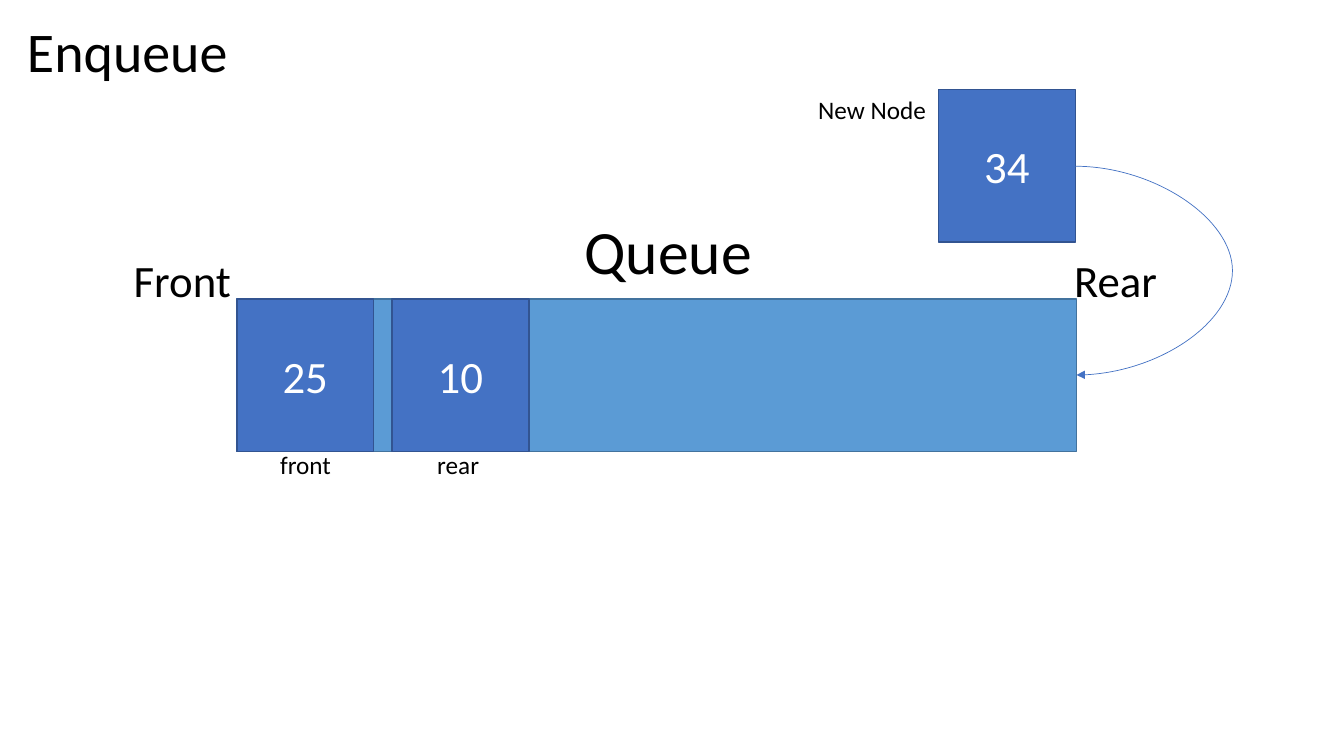
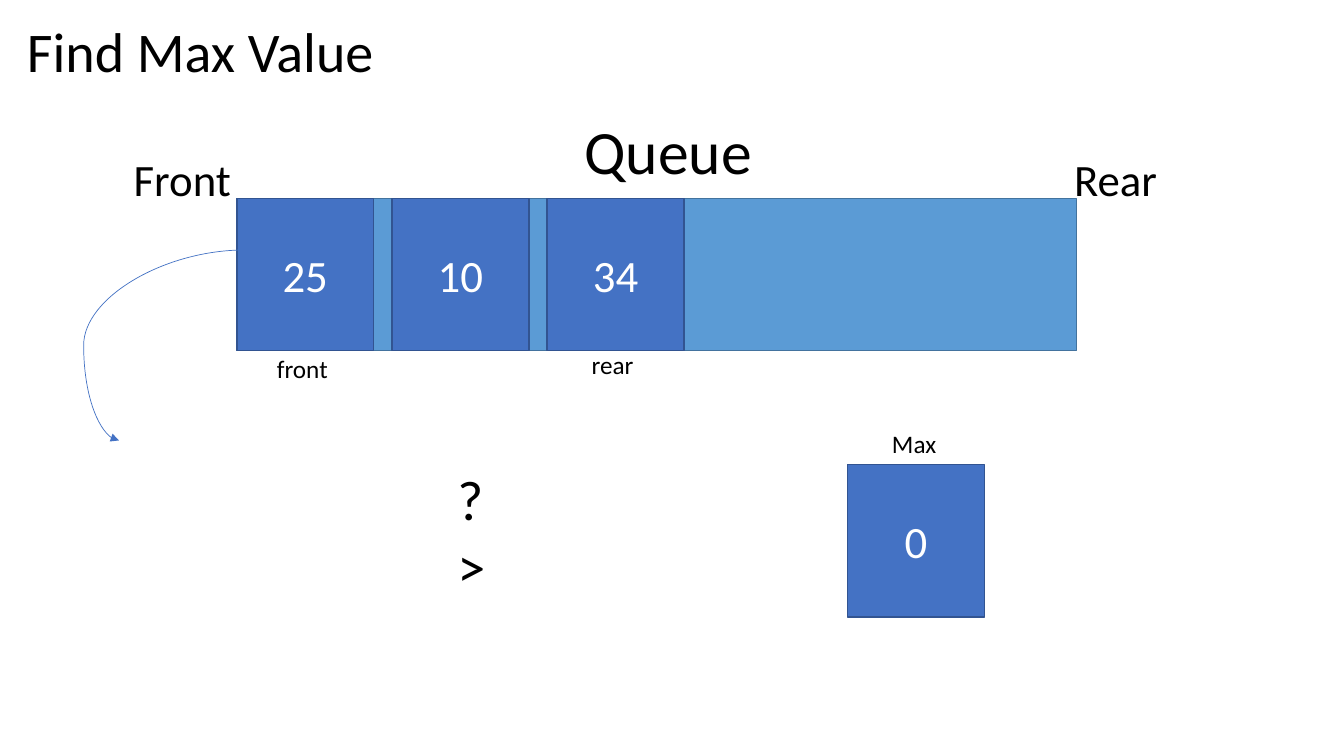
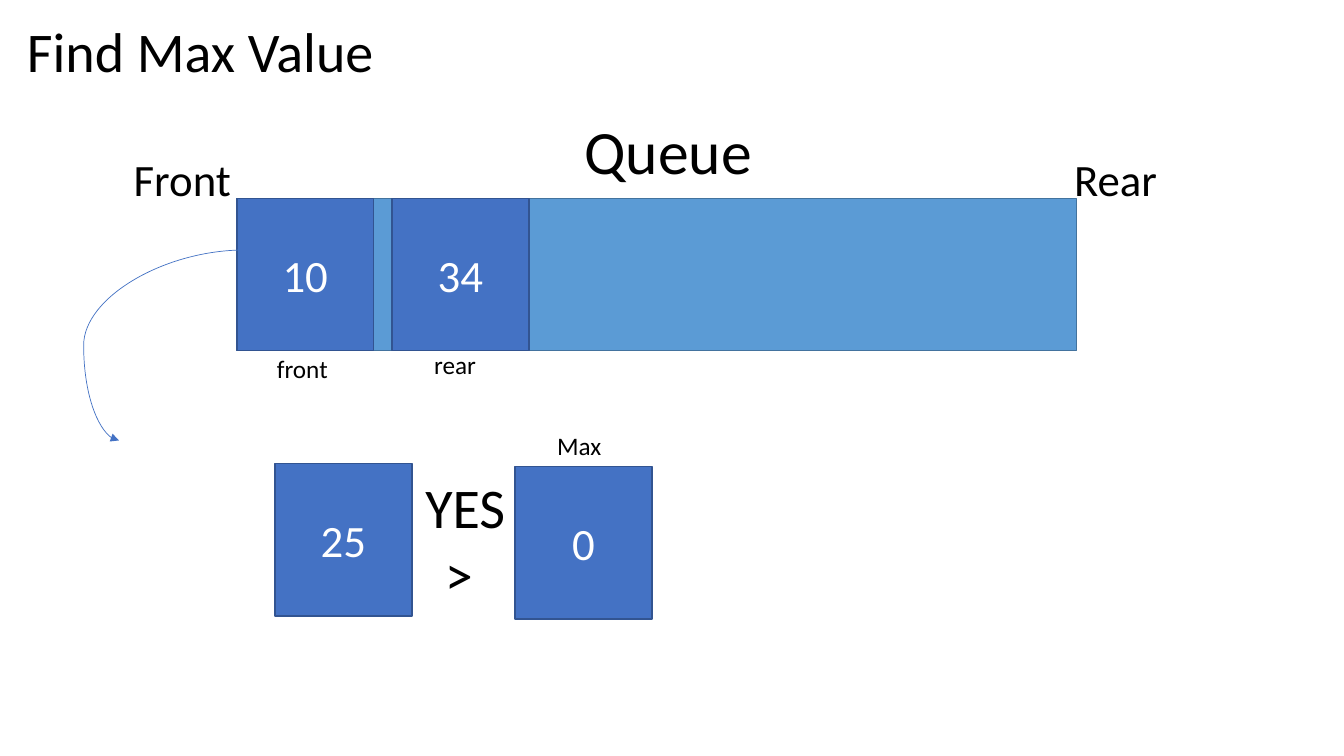
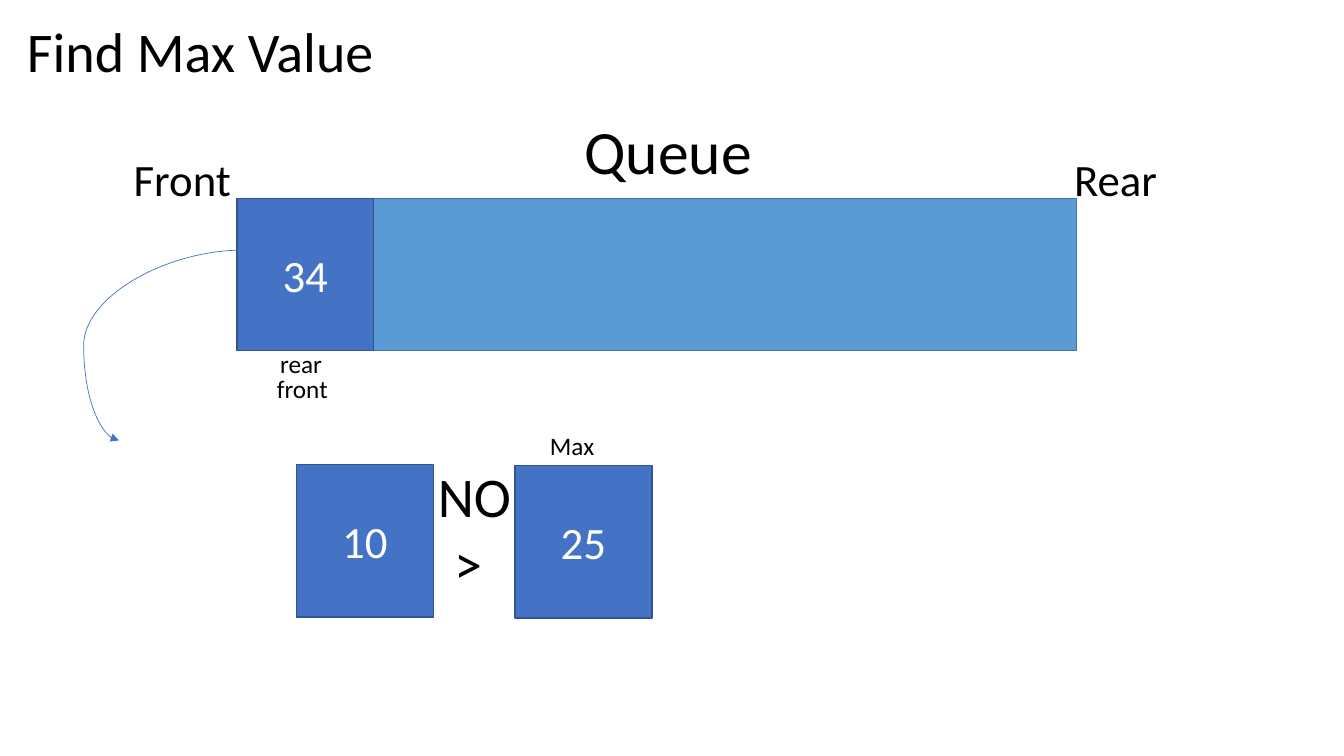
from pptx import Presentation
from pptx.dml.color import RGBColor
from pptx.enum.shapes import MSO_CONNECTOR, MSO_SHAPE
from pptx.enum.text import MSO_ANCHOR, PP_ALIGN
from pptx.oxml.ns import qn
from pptx.util import Cm, Pt
from lxml.etree import SubElement


def color(value):
    return RGBColor.from_string(value)


class Deck:
    FONT = "Calibri"
    TEXT, WHITE = "000000", "FFFFFF"
    QUEUE, QUEUE_LINE = "5B9BD5", "43739E"
    NODE, NODE_LINE = "4472C4", "325491"
    QUEUE_LEFT, QUEUE_WIDTH = 5.97, 21.16
    NODE_WIDTH, NODE_HEIGHT, NODE_PITCH = 3.45, 3.84, 3.91

    def __init__(self):
        self.prs = Presentation()
        self.prs.slide_width, self.prs.slide_height = Cm(33.87), Cm(19.05)

    def slide(self, title):
        self.s = self.prs.slides.add_slide(self.prs.slide_layouts[6])
        self.text(title, 0.43, 0.28, 9.42, 1.96, 40)

    def add_lines(self, tf, lines, size, rgb, align):
        p = tf.paragraphs[0]
        p.alignment = align
        for i, line in enumerate(lines):
            if i:
                p.add_line_break()
            r = p.add_run()
            r.text = line
            r.font.name, r.font.size = self.FONT, Pt(size)
            r.font.color.rgb = color(rgb)

    def text(self, text, x, y, w, h, size, align=PP_ALIGN.LEFT, wrap=True):
        tf = self.s.shapes.add_textbox(Cm(x), Cm(y), Cm(w), Cm(h)).text_frame
        tf.word_wrap = wrap
        self.add_lines(tf, text.split("\n"), size, self.TEXT, align)

    def label(self, text, x, y, w=2.15):
        self.text(text, x, y, w, 1.02, 18)

    def box(self, x, y, w, fill, line):
        sp = self.s.shapes.add_shape(MSO_SHAPE.RECTANGLE, Cm(x), Cm(y), Cm(w), Cm(self.NODE_HEIGHT))
        sp.shadow.inherit = False
        sp.fill.solid()
        sp.fill.fore_color.rgb = color(fill)
        sp.line.color.rgb = color(line)
        sp.line.width = Pt(1)
        return sp

    def node(self, value, x, y):
        tf = self.box(x, y, self.NODE_WIDTH, self.NODE, self.NODE_LINE).text_frame
        tf.vertical_anchor = MSO_ANCHOR.MIDDLE
        self.add_lines(tf, [value], 32, self.WHITE, PP_ALIGN.CENTER)

    def queue(self, top, values):
        self.box(self.QUEUE_LEFT, top, self.QUEUE_WIDTH, self.QUEUE, self.QUEUE_LINE)
        self.text("Queue", 14.48, top - 2.29, 4.93, 2.13, 44)
        self.text("Front", 3.12, top - 1.3, 3, 1.63, 32, wrap=False)
        self.text("Rear", 26.82, top - 1.3, 3.45, 1.63, 32)
        for i, value in enumerate(values):
            self.node(value, self.QUEUE_LEFT + i * self.NODE_PITCH, top)

    def curve(self, x1, y1, x2, y2, bulge):
        cxn = self.s.shapes.add_connector(MSO_CONNECTOR.CURVE, Cm(x1), Cm(y1), Cm(x2), Cm(y2))
        cxn.line.color.rgb = color(self.NODE)
        cxn.line.width = Pt(0.5)
        sp_pr = cxn._element.spPr
        SubElement(sp_pr.find(qn("a:ln")), qn("a:tailEnd"), type="triangle")
        SubElement(sp_pr, qn("a:effectLst"))
        adj = round((bulge - x1) / (x2 - x1) * 100000)
        guides = sp_pr.find(qn("a:prstGeom")).get_or_add_avLst()
        SubElement(guides, qn("a:gd"), name="adj1", fmla=f"val {adj}")


def enqueue_slide(deck):
    deck.slide("Enqueue")
    deck.queue(7.54, ["25", "10"])
    deck.label("front", 6.81, 11.2)
    deck.label("rear", 10.77, 11.2)
    deck.node("34", 23.65, 2.26)
    deck.label("New Node", 20.37, 2.26, 3.28)
    deck.curve(27.1, 4.19, 27.13, 9.45, 31.06)


def max_slide(deck, values, front_y, rear, maximum, max_at, max_label, answer, answer_at, align, taken):
    deck.slide("Find Max Value")
    deck.queue(5, values)
    deck.curve(6.17, 6.3, 3, 11.1, 2.11)
    deck.label("front", 6.73, front_y)
    deck.label("rear", *rear)
    deck.node(maximum, *max_at)
    deck.label("Max", *max_label)
    deck.text(answer, *answer_at, 2.67, 3.68, 40, align)
    if taken:
        deck.node(*taken)


def main():
    deck = Deck()
    enqueue_slide(deck)
    steps = [
        (["25", "10", "34"], 8.79, (14.66, 8.69), "0", (21.36, 11.71), (22.23, 10.67),
         "?\n>", (11.28, 11.58), PP_ALIGN.LEFT, None),
        (["10", "34"], 8.79, (10.69, 8.69), "0", (12.98, 11.76), (13.79, 10.72),
         "YES\n> ", (10.39, 11.79), PP_ALIGN.CENTER, ("25", 6.93, 11.68)),
        (["34"], 9.27, (6.81, 8.66), "25", (12.98, 11.73), (13.61, 10.72),
         "NO\n> ", (10.62, 11.51), PP_ALIGN.CENTER, ("10", 7.47, 11.71)),
    ]
    for step in steps:
        max_slide(deck, *step)
    deck.prs.save("out.pptx")


if __name__ == "__main__":
    main()
